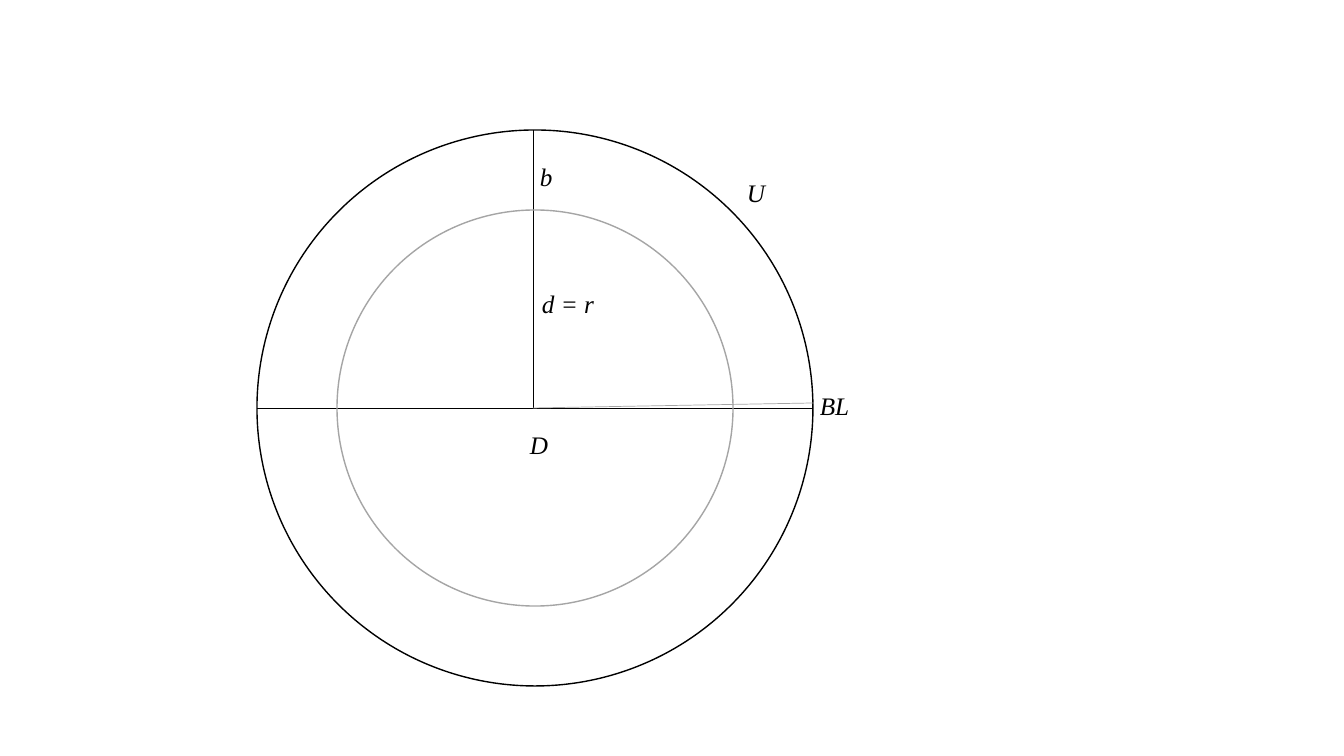
import pptx
import pptx.util
import pptx.dml.color
import pptx.enum.shapes
import pptx.enum.text
import pptx.oxml.ns
import lxml.etree

BLACK = pptx.dml.color.RGBColor(0x00, 0x00, 0x00)
GREY = pptx.dml.color.RGBColor(0xA5, 0xA5, 0xA5)
EMU_PER_PIXEL = 914400 / 100.8


def pixels(*lengths):
    return [pptx.util.Emu(round(length * EMU_PER_PIXEL)) for length in lengths]


class Diagram:
    font_name = "Times New Roman"
    font_size = pptx.util.Pt(18)
    circle_width = pptx.util.Pt(1)
    line_width = pptx.util.Pt(0.5)

    def __init__(self, page):
        self.page = page

    def circle(self, center_x, center_y, radius, color):
        shape = self.page.shapes.add_shape(
            pptx.enum.shapes.MSO_SHAPE.OVAL,
            *pixels(center_x - radius, center_y - radius, 2 * radius, 2 * radius))
        shape.shadow.inherit = False
        shape.fill.background()
        shape.line.color.rgb = color
        shape.line.width = self.circle_width

    def line(self, start, end, color):
        connector = self.page.shapes.add_connector(
            pptx.enum.shapes.MSO_CONNECTOR.STRAIGHT, *pixels(*start, *end))
        connector.line.color.rgb = color
        connector.line.width = self.line_width
        properties = connector._element.spPr
        lxml.etree.SubElement(properties, pptx.oxml.ns.qn("a:effectLst"))

    def label(self, text, left, top, width=202, height=40):
        box = self.page.shapes.add_textbox(*pixels(left, top, width, height))
        frame = box.text_frame
        frame.word_wrap = True
        frame.auto_size = pptx.enum.text.MSO_AUTO_SIZE.SHAPE_TO_FIT_TEXT
        frame.text = text
        font = frame.paragraphs[0].font
        font.name = self.font_name
        font.size = self.font_size
        font.italic = True
        font.color.rgb = BLACK


deck = pptx.Presentation()
deck.slide_width, deck.slide_height = pixels(1344, 756)
diagram = Diagram(deck.slides.add_slide(deck.slide_layouts[6]))

# Shared geometry
center_x, center_y = 535, 408
outer_radius, inner_radius = 278, 198
hub = (533, center_y)

# Outer circle with its radius, diameter and thin sector edge
diagram.circle(center_x, center_y, outer_radius, BLACK)
diagram.line((hub[0], center_y - outer_radius), hub, BLACK)
diagram.line((center_x - outer_radius, center_y),
             (center_x + outer_radius, center_y), BLACK)
diagram.line(hub, (814, 403), GREY)

# Inner circle
diagram.circle(center_x, center_y, inner_radius, GREY)

# Labels
diagram.label("D", 520, 424)
diagram.label("d = r", 532, 283)
diagram.label("U", 737, 172)
diagram.label("BL", 810, 385)
diagram.label("b", 530, 156, width=116)

deck.save("out.pptx")
